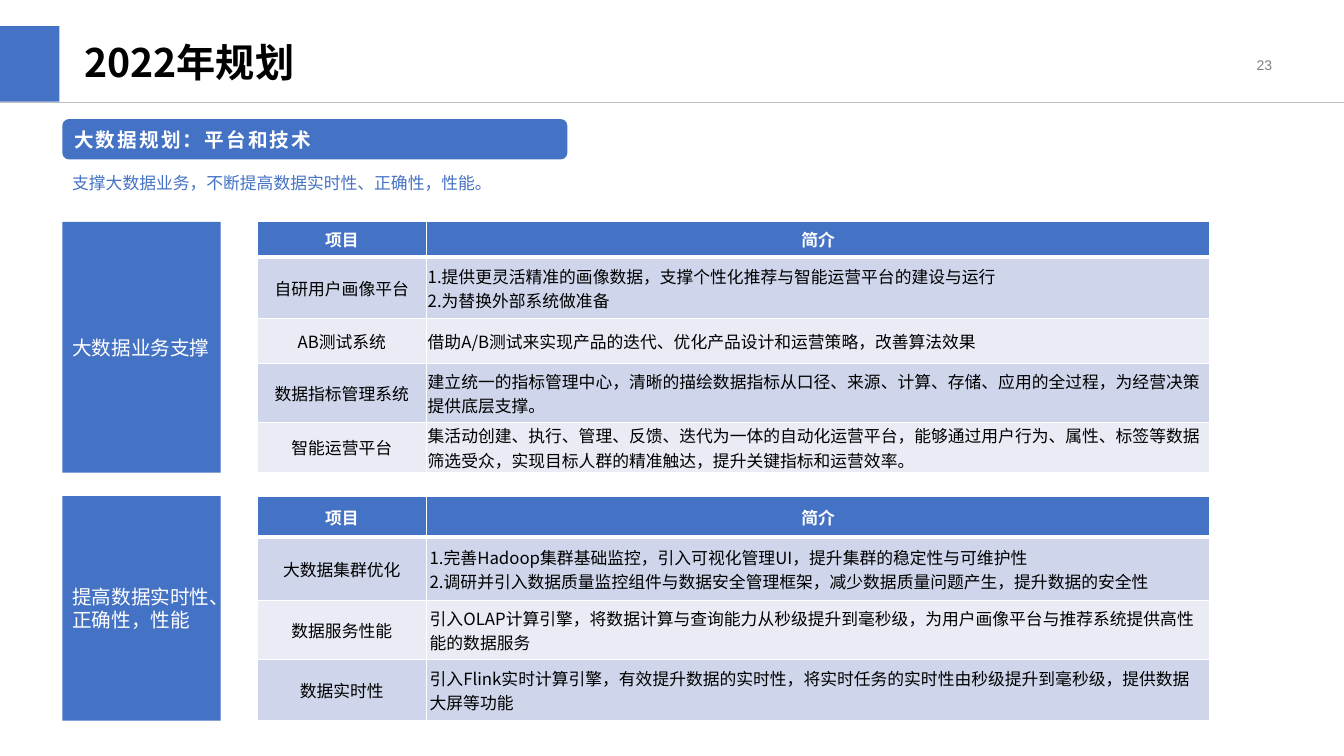
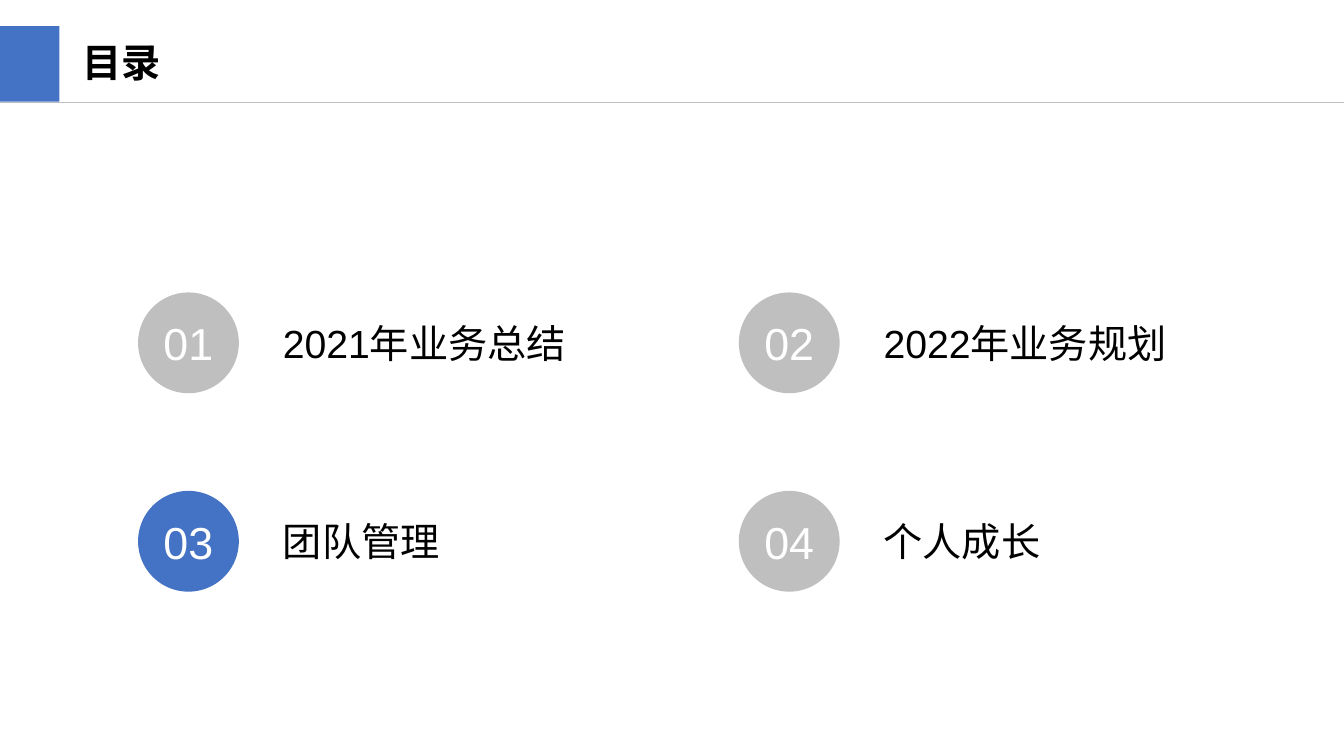
"""Builds the 2022 planning slide and the contents slide."""
from dataclasses import dataclass
from typing import Any

import lxml.etree
import pptx
import pptx.dml.color
import pptx.enum.shapes
import pptx.enum.text
import pptx.oxml.ns
import pptx.util

Cm = pptx.util.Cm
Pt = pptx.util.Pt
qn = pptx.oxml.ns.qn
SHAPE = pptx.enum.shapes.MSO_SHAPE
ALIGN = pptx.enum.text.PP_ALIGN
ANCHOR = pptx.enum.text.MSO_ANCHOR

BLUE, GREY, MUTED = "4472C4", "BFBFBF", "808080"
WHITE, BLACK = "FFFFFF", "000000"
BANDS = ("CFD5EA", "E9EBF5")
CJK, LATIN = "Noto Sans CJK SC", "Arial"
SLIDE_W, SLIDE_H = 33.87, 19.05
MARGIN = 1.57
SIDE_W = 3.99
TABLE_X = 6.48
COLS = (4.27, 19.74)
HEADER = ("项目", "简介")
CIRCLE = 2.54


@dataclass(frozen=True)
class Style:
    size: float
    color: str = BLACK
    bold: bool = False
    font: str = CJK
    align: Any = ALIGN.LEFT
    spacing: int = 0


@dataclass(frozen=True)
class Box:
    x: float
    y: float
    w: float
    h: float


@dataclass(frozen=True)
class Section:
    label: str
    top: float
    heights: tuple[float, ...]
    header_pad: float
    text_pad: tuple[float, float]
    rows: tuple[tuple[str, str], ...]


@dataclass(frozen=True)
class Topic:
    text: str
    current: bool = False


TITLE = Style(28, bold=True)
BANNER = Style(14, WHITE, bold=True, spacing=150)
LEAD = Style(12, BLUE)
SIDE = Style(14, WHITE)
PAGE = Style(10, MUTED, font=LATIN, align=ALIGN.RIGHT)
HEAD = Style(12, WHITE, bold=True, align=ALIGN.CENTER)
ITEM = Style(12, align=ALIGN.CENTER)
BODY = Style(12)
NUMBER = Style(32, WHITE, font=LATIN, align=ALIGN.CENTER)
TOPIC = Style(28, font=LATIN)

SECTIONS = (
    Section("大数据业务支撑", 5.59, (0.89, 1.55, 1.14, 1.47, 1.27), 0.03, (0.03, 0.03), (
        ("自研用户画像平台", "1.提供更灵活精准的画像数据，支撑个性化推荐与智能运营平台的建设与运行\n"
                     "2.为替换外部系统做准备"),
        ("AB测试系统", "借助A/B测试来实现产品的迭代、优化产品设计和运营策略，改善算法效果"),
        ("数据指标管理系统", "建立统一的指标管理中心，清晰的描绘数据指标从口径、来源、计算、存储、"
                     "应用的全过程，为经营决策提供底层支撑。"),
        ("智能运营平台", "集活动创建、执行、管理、反馈、迭代为一体的自动化运营平台，能够通过用户行为、"
                   "属性、标签等数据筛选受众，实现目标人群的精准触达，提升关键指标和运营效率。"),
    )),
    Section("提高数据实时性、正确性，性能", 12.5, (1.04, 1.6, 1.47, 1.55), 0, (0.08, 0.05), (
        ("大数据集群优化", "1.完善Hadoop集群基础监控，引入可视化管理UI，提升集群的稳定性与可维护性\n"
                    "2.调研并引入数据质量监控组件与数据安全管理框架，减少数据质量问题产生，提升数据的安全性"),
        ("数据服务性能", "引入OLAP计算引擎，将数据计算与查询能力从秒级提升到毫秒级，"
                   "为用户画像平台与推荐系统提供高性能的数据服务"),
        ("数据实时性", "引入Flink实时计算引擎，有效提升数据的实时性，将实时任务的实时性由秒级提升到毫秒级，"
                  "提供数据大屏等功能"),
    )),
)

TOPICS = (
    Topic("2021年业务总结"),
    Topic("2022年业务规划"),
    Topic("团队管理", current=True),
    Topic("个人成长"),
)


def rgb(value: str) -> pptx.dml.color.RGBColor:
    return pptx.dml.color.RGBColor.from_string(value)


def write(tf: Any, text: str, style: Style) -> Any:
    p = tf.paragraphs[0]
    p.text = text
    p.alignment = style.align
    p.font.size = Pt(style.size)
    p.font.bold = style.bold
    p.font.name = style.font
    p.font.color.rgb = rgb(style.color)
    props = p._p.pPr.find(qn("a:defRPr"))
    lxml.etree.SubElement(props, qn("a:ea")).set("typeface", CJK)
    if style.spacing:
        props.set("spc", str(style.spacing))
    return p


def add_text(slide: Any, box: Box, text: str, style: Style, anchor: Any = ANCHOR.TOP) -> Any:
    sp = slide.shapes.add_textbox(Cm(box.x), Cm(box.y), Cm(box.w), Cm(box.h))
    tf = sp.text_frame
    tf.word_wrap = True
    tf.vertical_anchor = anchor
    return write(tf, text, style)


def add_block(slide: Any, kind: Any, box: Box, fill: str) -> Any:
    sp = slide.shapes.add_shape(kind, Cm(box.x), Cm(box.y), Cm(box.w), Cm(box.h))
    sp.shadow.inherit = False
    sp.fill.solid()
    sp.fill.fore_color.rgb = rgb(fill)
    sp.line.fill.background()
    sp.text_frame.vertical_anchor = ANCHOR.MIDDLE
    return sp


def add_page(prs: Any, title: str, title_x: float) -> Any:
    slide = prs.slides.add_slide(prs.slide_layouts[6])
    rule = slide.shapes.add_connector(
        pptx.enum.shapes.MSO_CONNECTOR.STRAIGHT, 0, Cm(2.57), Cm(SLIDE_W), Cm(2.57))
    rule.line.color.rgb = rgb(GREY)
    rule.line.width = Pt(0.5)
    lxml.etree.SubElement(rule._element.spPr, qn("a:effectLst"))
    add_block(slide, SHAPE.RECTANGLE, Box(0, 0.66, 1.5, 1.9), BLUE)
    p = add_text(slide, Box(title_x, 0.97, 20.17, 1.32), title, TITLE)
    p.line_spacing = 0.9
    return slide


def set_borders(cell: Any, top: float, bottom: float) -> None:
    tcPr = cell._tc.get_or_add_tcPr()
    for side, width in (("lnL", 1), ("lnR", 1), ("lnT", top), ("lnB", bottom)):
        ln = lxml.etree.SubElement(tcPr, qn(f"a:{side}"), w=str(Pt(width)))
        fill = lxml.etree.SubElement(ln, qn("a:solidFill"))
        lxml.etree.SubElement(fill, qn("a:srgbClr"), val=WHITE)


def fill_cell(cell: Any, text: str, style: Style, fill: str,
              pad: tuple[float, float], top: float, bottom: float) -> None:
    set_borders(cell, top, bottom)
    cell.fill.solid()
    cell.fill.fore_color.rgb = rgb(fill)
    cell.vertical_anchor = ANCHOR.MIDDLE
    cell.margin_left = cell.margin_right = Cm(pad[0])
    cell.margin_top = cell.margin_bottom = Cm(pad[1])
    write(cell.text_frame, text, style)


def add_section(slide: Any, section: Section) -> None:
    height = sum(section.heights)
    table = slide.shapes.add_table(
        len(section.heights), len(COLS), Cm(TABLE_X), Cm(section.top),
        Cm(sum(COLS)), Cm(height)).table
    table.horz_banding = False
    for column, width in zip(table.columns, COLS):
        column.width = Cm(width)
    for row, row_height in zip(table.rows, section.heights):
        row.height = Cm(row_height)
    header_pad = (section.header_pad, section.header_pad)
    for c, text in enumerate(HEADER):
        fill_cell(table.cell(0, c), text, HEAD, BLUE, header_pad, 1, 3)
    formats = ((ITEM, (0.03, 0.03)), (BODY, section.text_pad))
    for r, texts in enumerate(section.rows, 1):
        for c, (text, (style, pad)) in enumerate(zip(texts, formats)):
            fill_cell(table.cell(r, c), text, style, BANDS[(r - 1) % 2], pad,
                      3 if r == 1 else 1, 1)
    sp = add_block(slide, SHAPE.RECTANGLE, Box(MARGIN, section.top, SIDE_W, height), BLUE)
    write(sp.text_frame, section.label, SIDE)


def add_topic(slide: Any, index: int, topic: Topic) -> None:
    row, col = divmod(index, 2)
    x, y = 3.48 + col * 15.14, 7.37 + row * 5
    sp = add_block(slide, SHAPE.OVAL, Box(x, y, CIRCLE, CIRCLE), BLUE if topic.current else GREY)
    sp.text_frame.margin_left = sp.text_frame.margin_right = 0
    write(sp.text_frame, f"{index + 1:02d}", NUMBER)
    add_text(slide, Box(x + 3.4, y, 9.63, CIRCLE), topic.text, TOPIC, ANCHOR.MIDDLE)


def build_plan(prs: Any) -> None:
    slide = add_page(prs, "2022年规划", 1.88)
    sp = add_block(slide, SHAPE.ROUNDED_RECTANGLE, Box(MARGIN, 3, 12.73, 1.02), BLUE)
    p = write(sp.text_frame, "大数据规划：平台和技术", BANNER)
    p.space_after = Pt(4)
    add_text(slide, Box(24.69, 1.12, 7.62, 1.02), "23", PAGE, ANCHOR.MIDDLE)
    for section in SECTIONS:
        add_section(slide, section)
    add_text(slide, Box(MARGIN, 4.24, 21.18, 0.76),
             "支撑大数据业务，不断提高数据实时性、正确性，性能。", LEAD)


def build_contents(prs: Any) -> None:
    slide = add_page(prs, "目录", 1.83)
    for index, topic in enumerate(TOPICS):
        add_topic(slide, index, topic)


def main() -> None:
    prs = pptx.Presentation()
    prs.slide_width, prs.slide_height = Cm(SLIDE_W), Cm(SLIDE_H)
    build_plan(prs)
    build_contents(prs)
    prs.save("out.pptx")


if __name__ == "__main__":
    main()
